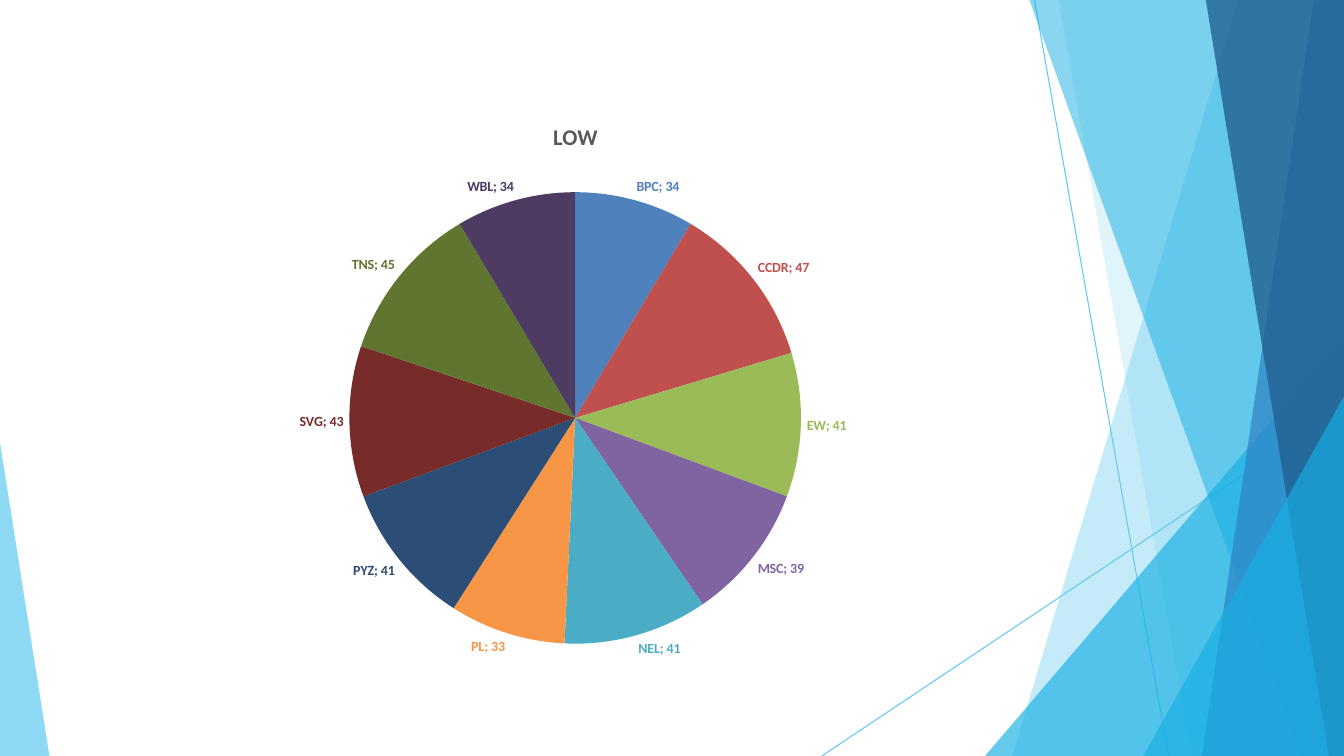
from lxml import etree
from pptx import Presentation
from pptx.chart.data import CategoryChartData as ChartData
from pptx.dml.color import RGBColor as RGB
from pptx.enum.chart import XL_CHART_TYPE as Kind, XL_LABEL_POSITION as Pos
from pptx.enum.shapes import MSO_CONNECTOR as Link
from pptx.oxml import parse_xml
from pptx.oxml.ns import nsdecls, qn
from pptx.util import Inches, Pt

WIDE, HIGH = 13.33, 7.5
SKY = RGB(0x5F, 0xCA, 0xEE)
CYAN = RGB(0x17, 0xAF, 0xE3)
BLUE = RGB(0x2D, 0x83, 0xC3)
NAVY = RGB(0x22, 0x61, 0x92)
GREY = RGB(0x59, 0x59, 0x59)
BLACK = RGB(0, 0, 0)
FONT = "Calibri"

LINES = [(10.26, 0, 11.59, HIGH), (WIDE, 4.04, 8.15, HIGH)]

FACETS = [
    ([(WIDE, 0), (12.28, 0), (10.04, HIGH), (WIDE, HIGH)], SKY, 36),
    ([(WIDE, 0), (10.5, 0), (11.82, HIGH), (WIDE, HIGH)], SKY, 20),
    ([(WIDE, 3.33), (9.77, HIGH), (WIDE, HIGH)], CYAN, 66),
    ([(WIDE, 0), (10.21, 0), (12.91, HIGH), (WIDE, HIGH)], CYAN, 50),
    ([(WIDE, 0), (13.03, 0), (11.92, HIGH), (WIDE, HIGH)], BLUE, 70),
    ([(WIDE, 0), (11.96, 0), (13.18, HIGH), (WIDE, HIGH)], NAVY, 80),
    ([(WIDE, 3.93), (11.34, HIGH), (WIDE, HIGH)], CYAN, 66),
    ([(0, 4.39), (0, HIGH), (0.49, HIGH)], SKY, 70),
]

SLICES = [
    ("BPC", 34, RGB(0x4F, 0x81, 0xBD)),
    ("CCDR", 47, RGB(0xC0, 0x50, 0x4D)),
    ("EW", 41, RGB(0x9B, 0xBB, 0x59)),
    ("MSC", 39, RGB(0x80, 0x64, 0xA2)),
    ("NEL", 41, RGB(0x4B, 0xAC, 0xC6)),
    ("PL", 33, RGB(0xF7, 0x96, 0x46)),
    ("PYZ", 41, RGB(0x2C, 0x4D, 0x75)),
    ("SVG", 43, RGB(0x77, 0x2C, 0x2A)),
    ("TNS", 45, RGB(0x5F, 0x75, 0x30)),
    ("WBL", 34, RGB(0x4D, 0x3B, 0x62)),
]


def add_line(slide, ends):
    """Draw a thin sky-blue line."""
    line = slide.shapes.add_connector(Link.STRAIGHT, *map(Inches, ends))
    line.line.color.rgb = SKY
    line.line.width = Pt(0.75)
    etree.SubElement(line._element.spPr, qn("a:effectLst"))


def add_facet(slide, points, color, alpha):
    """Draw a see-through polygon; alpha is in percent."""
    spots = [(Inches(x), Inches(y)) for x, y in points]
    form = slide.shapes.build_freeform(*spots[0])
    form.add_line_segments(spots[1:], close=True)
    shape = form.convert_to_shape()
    shape.shadow.inherit = False
    shape.line.fill.background()
    shape.fill.solid()
    shape.fill.fore_color.rgb = color
    tint = shape._element.spPr.find(".//" + qn("a:srgbClr"))
    etree.SubElement(tint, qn("a:alpha"), val=str(alpha * 1000))


def set_font(font, size, color, bold=True):
    """Set the look of chart text."""
    font.name, font.size, font.bold = FONT, Pt(size), bold
    font.color.rgb = color


def show_name(label):
    """Show the category beside the value in a label element."""
    label.find(qn("c:showCatName")).set("val", "1")
    etree.SubElement(label, qn("c:separator")).text = "; "


def set_plot(chart, x, y, w, h):
    """Place the plot area by fractions of the chart."""
    area = chart._chartSpace.find(".//" + qn("c:plotArea"))
    for old in area.findall(qn("c:layout")):
        area.remove(old)
    sizes = "".join(f'<c:{key} val="{val}"/>' for key, val in zip("xywh", (x, y, w, h)))
    area.insert(0, parse_xml(
        f'<c:layout {nsdecls("c")}><c:manualLayout><c:layoutTarget val="inner"/>'
        f'<c:xMode val="edge"/><c:yMode val="edge"/>{sizes}'
        '</c:manualLayout></c:layout>'))


def add_pie(slide, title, slices, box):
    """Add a pie with one coloured label for each slice."""
    names, values, colors = zip(*slices)
    data = ChartData()
    data.categories = names
    data.add_series(title, values)
    chart = slide.shapes.add_chart(Kind.PIE, *map(Inches, box), data).chart
    set_font(chart.font, 10, BLACK, False)
    chart.has_legend = False
    chart.has_title = True
    head = chart.chart_title.text_frame
    head.text = title
    set_font(head.paragraphs[0].font, 16, GREY)
    set_plot(chart, 0.21, 0.16, 0.58, 0.79)
    series = chart.plots[0].series[0]
    labels = series.data_labels
    labels.show_value = labels.show_category_name = True
    labels.position = Pos.OUTSIDE_END
    set_font(labels.font, 10, colors[0])
    for i, color in enumerate(colors):
        point = series.points[i]
        point.format.fill.solid()
        point.format.fill.fore_color.rgb = color
        set_font(point.data_label.font, 10, color)
        point.data_label.position = Pos.OUTSIDE_END
    for label in series._element.iter(qn("c:dLbl")):
        show_name(label)


def main():
    """Build the slide and save it."""
    deck = Presentation()
    deck.slide_width, deck.slide_height = Inches(WIDE), Inches(HIGH)
    slide = deck.slides.add_slide(deck.slide_layouts[6])
    for ends in LINES:
        add_line(slide, ends)
    for points, color, alpha in FACETS:
        add_facet(slide, points, color, alpha)
    add_pie(slide, "LOW", SLICES, (1.83, 1, 7.75, 5.67))
    deck.save("out.pptx")


if __name__ == "__main__":
    main()
